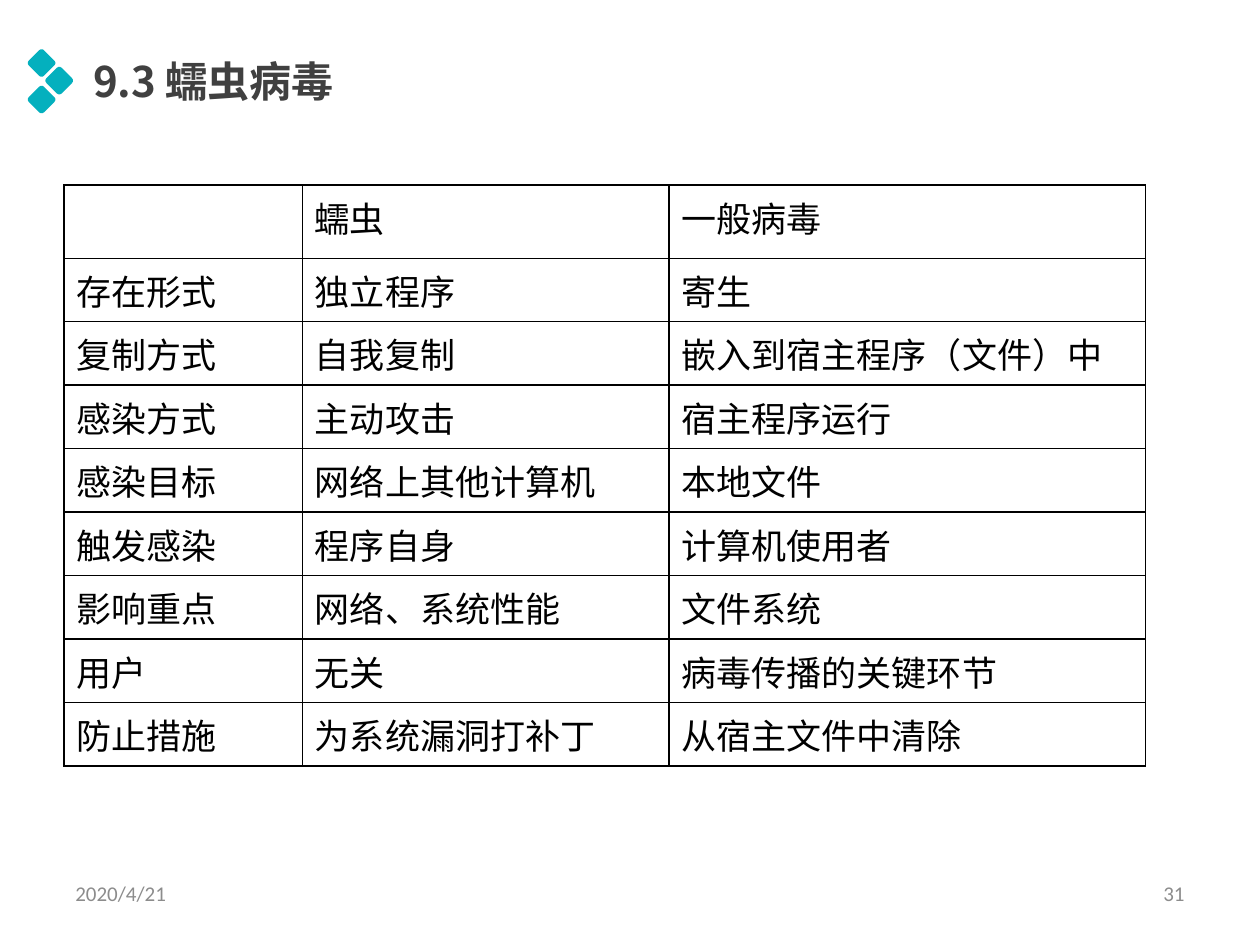
from typing import NamedTuple

import pptx
import pptx.dml.color
import pptx.enum.shapes
import pptx.enum.text
import pptx.oxml
import pptx.oxml.ns
import pptx.util
from pptx.util import Inches

RGBColor = pptx.dml.color.RGBColor
Align = pptx.enum.text.PP_ALIGN
Anchor = pptx.enum.text.MSO_ANCHOR

TEAL = RGBColor(0x04, 0xB0, 0xBE)
DARK = RGBColor(0x40, 0x40, 0x40)
GREY = RGBColor(0x8C, 0x8C, 0x8C)
BLACK = RGBColor(0, 0, 0)

HEAD = {"name": "Noto Sans CJK SC", "size": pptx.util.Pt(24), "bold": True}
BODY = {"name": "Times New Roman", "size": pptx.util.Pt(20)}
FOOT = {"name": "Calibri", "size": pptx.util.Pt(12)}

COLS = (1.89, 2.91, 3.78)
TOP_ROW, ROW = 0.58, 0.49
INDENT = Inches(0.38)
ROWS = (
    ("", "蠕虫", "一般病毒"),
    ("存在形式", "独立程序", "寄生"),
    ("复制方式", "自我复制", "嵌入到宿主程序（文件）中"),
    ("感染方式", "主动攻击", "宿主程序运行"),
    ("感染目标", "网络上其他计算机", "本地文件"),
    ("触发感染", "程序自身", "计算机使用者"),
    ("影响重点", "网络、系统性能", "文件系统"),
    ("用户", "无关", "病毒传播的关键环节"),
    ("防止措施", "为系统漏洞打补丁", "从宿主文件中清除"),
)


class Label(NamedTuple):
    text: str
    box: tuple[float, float, float, float]
    font: dict
    color: RGBColor
    align: Align = Align.LEFT
    anchor: Anchor = Anchor.MIDDLE
    pad: tuple[float, float] = (0.1, 0.05)
    grow: bool = False


class Gem(NamedTuple):
    """Centre of one diamond of the title mark."""
    x: float
    y: float


LABELS = (
    Label("2020/4/21", (0.5, 6.83, 2.33, 0.52), FOOT, GREY),
    Label("31", (7.17, 6.83, 2.33, 0.52), FOOT, GREY, Align.RIGHT),
    Label("9.3 蠕虫病毒", (0.67, 0.4, 3.03, 0.48), HEAD, DARK,
          anchor=Anchor.TOP, pad=(0.07, 0.04), grow=True),
)
GEMS = (Gem(0.33, 0.5), Gem(0.47, 0.64), Gem(0.33, 0.79))
SIDE = 0.17


def write(frame, text: str, form: dict, color: RGBColor):
    """Put one formatted run in the frame and return its paragraph."""
    par = frame.paragraphs[0]
    run = par.add_run()
    run.text = text
    for key, value in form.items():
        setattr(run.font, key, value)
    run.font.color.rgb = color
    if form is HEAD:
        east = pptx.oxml.parse_xml(
            f'<a:ea {pptx.oxml.ns.nsdecls("a")} typeface="{form["name"]}"/>')
        run.font._element.append(east)
    return par


def add_label(slide, label: Label) -> None:
    box = slide.shapes.add_textbox(*map(Inches, label.box))
    frame = box.text_frame
    side, edge = map(Inches, label.pad)
    form = {"word_wrap": True, "vertical_anchor": label.anchor,
            "margin_left": side, "margin_right": side,
            "margin_top": edge, "margin_bottom": edge}
    if label.grow:
        form["auto_size"] = pptx.enum.text.MSO_AUTO_SIZE.SHAPE_TO_FIT_TEXT
    for key, value in form.items():
        setattr(frame, key, value)
    write(frame, label.text, label.font, label.color).alignment = label.align


def add_gem(slide, gem: Gem) -> None:
    shape = slide.shapes.add_shape(
        pptx.enum.shapes.MSO_SHAPE.ROUNDED_RECTANGLE,
        Inches(gem.x - SIDE / 2), Inches(gem.y - SIDE / 2),
        Inches(SIDE), Inches(SIDE))
    shape.adjustments[0] = 0.15
    shape.rotation = 45
    shape.shadow.inherit = False
    shape.fill.solid()
    shape.fill.fore_color.rgb = TEAL
    shape.line.fill.background()


def rule_cell(cell) -> None:
    """Draw a thin black border on all four sides."""
    props = cell._tc.get_or_add_tcPr()
    for spot, side in enumerate("LRTB"):
        props.insert(spot, pptx.oxml.parse_xml(
            f'<a:ln{side} {pptx.oxml.ns.nsdecls("a")} w="12700"><a:solidFill>'
            f'<a:srgbClr val="{BLACK}"/></a:solidFill></a:ln{side}>'))


def add_grid(slide) -> None:
    high = TOP_ROW + ROW * (len(ROWS) - 1)
    table = slide.shapes.add_table(
        len(ROWS), len(COLS), Inches(0.51), Inches(1.47),
        Inches(sum(COLS)), Inches(high)).table
    table.first_row = table.horz_banding = False
    for col, width in zip(table.columns, COLS):
        col.width = Inches(width)
    for num, (row, texts) in enumerate(zip(table.rows, ROWS)):
        row.height = Inches(ROW if num else TOP_ROW)
        for cell, text in zip(row.cells, texts):
            cell.fill.background()
            rule_cell(cell)
            if text:
                par = write(cell.text_frame, text, BODY, BLACK)
                props = par._p.get_or_add_pPr()
                props.set("marL", str(INDENT))
                props.set("indent", str(-INDENT))


def main() -> None:
    deck = pptx.Presentation()
    deck.slide_width, deck.slide_height = Inches(10), Inches(7.5)
    slide = deck.slides.add_slide(deck.slide_layouts[6])
    add_grid(slide)
    for gem in GEMS:
        add_gem(slide, gem)
    for label in LABELS:
        add_label(slide, label)
    deck.save("out.pptx")


if __name__ == "__main__":
    main()
